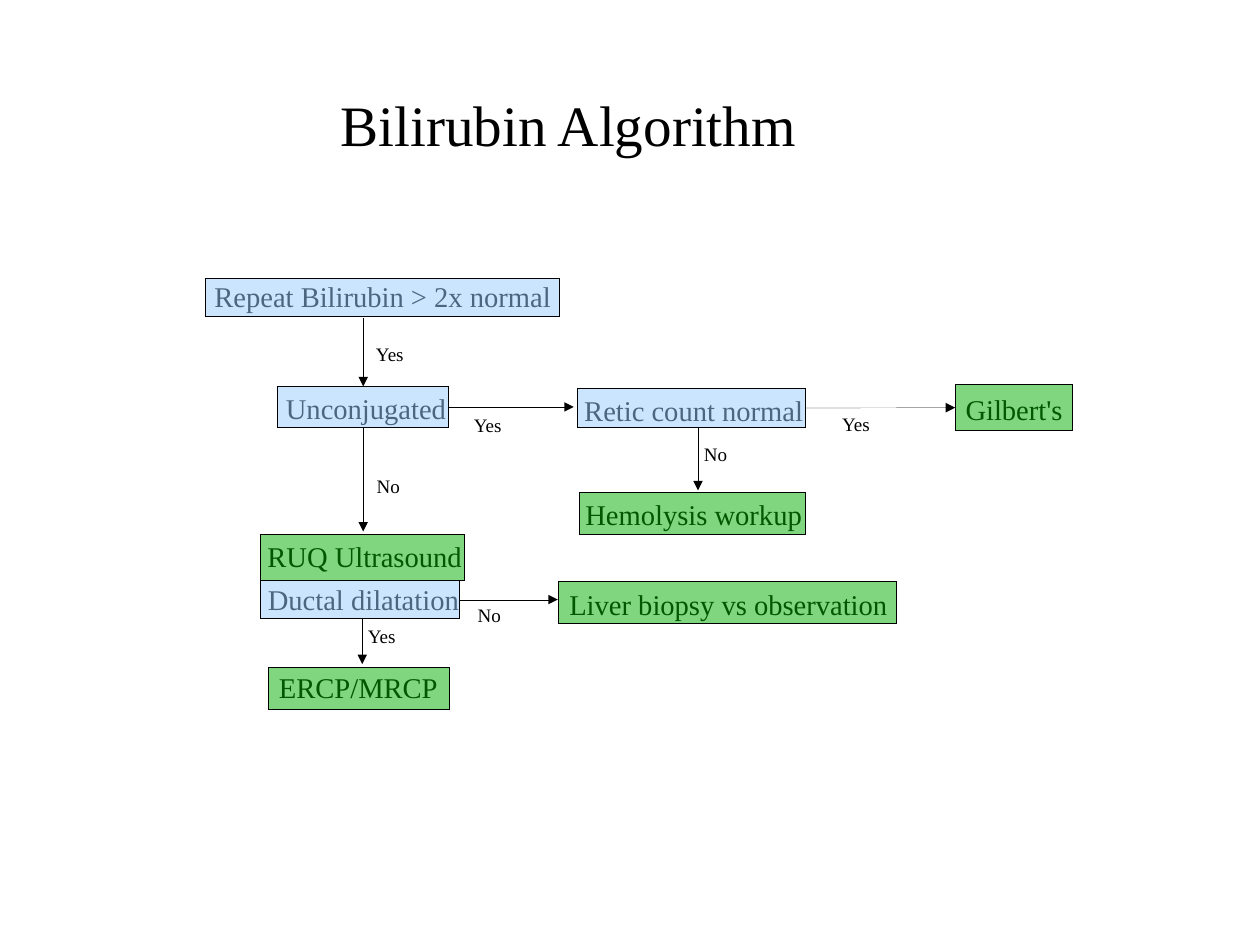
from dataclasses import dataclass
from typing import Optional

from lxml.etree import SubElement
from pptx import Presentation
from pptx.dml.color import RGBColor
from pptx.dml.line import LineFormat
from pptx.enum.shapes import MSO_CONNECTOR, MSO_SHAPE
from pptx.enum.text import MSO_ANCHOR, MSO_AUTO_SIZE, PP_ALIGN
from pptx.oxml.ns import qn
from pptx.shapes.autoshape import Shape
from pptx.slide import Slide
from pptx.text.text import TextFrame
from pptx.util import Pt

BLACK = RGBColor(0x00, 0x00, 0x00)
QUESTION_BLUE = RGBColor(0x99, 0xCC, 0xFF)
ACTION_GREEN = RGBColor(0x00, 0xAE, 0x00)
FONT = "Times New Roman"
STEP_SIZE, ANSWER_SIZE, TITLE_SIZE = 18, 12, 36
HAIRLINE = Pt(0.01)
SLACK = 1.5
TOP, LEFT, BOTTOM, RIGHT = range(4)


@dataclass(frozen=True)
class Step:
    wording: str
    color: RGBColor
    box: tuple[float, float, float, float]
    text_at: tuple[float, float, float]


@dataclass(frozen=True)
class Joint:
    step: str
    side: int


@dataclass(frozen=True)
class Arrow:
    start: tuple[float, float]
    end: tuple[float, float]
    start_joint: Optional[Joint] = None
    end_joint: Optional[Joint] = None


@dataclass(frozen=True)
class Answer:
    wording: str
    left: float
    top: float


STEPS = [
    Step("Repeat Bilirubin > 2x normal", QUESTION_BLUE, (129.4, 175.5, 223.2, 23.8), (134.6, 175.7, 213.1)),
    Step("Unconjugated", QUESTION_BLUE, (174.8, 243.4, 108, 25.9), (179.8, 246.5, 101.5)),
    Step("Retic count normal", QUESTION_BLUE, (363.6, 244.8, 144, 24.5), (367.9, 247.4, 138.2)),
    Step("Ductal dilatation", QUESTION_BLUE, (164.2, 365.8, 125.3, 23.8), (168.5, 366.5, 121)),
    Step("RUQ Ultrasound", ACTION_GREEN, (164.2, 336.8, 128.2, 28.8), (168.5, 339.8, 122.4)),
    Step("ERCP/MRCP", ACTION_GREEN, (169.2, 420.3, 113.8, 26.6), (175.7, 421.9, 100.1)),
    Step("Hemolysis workup", ACTION_GREEN, (364.8, 310.1, 142.6, 26.6), (368.6, 313.2, 136.8)),
    Step("Gilbert's", ACTION_GREEN, (601.7, 242.4, 74.2, 28.8), (608.2, 247, 61.2)),
    Step("Liver biopsy vs observation", ACTION_GREEN, (352.1, 366.5, 212.4, 26.6), (358.4, 369.9, 200.9)),
]

ARROWS = [
    Arrow((228.8, 200.2), (228.8, 243.4), end_joint=Joint("Unconjugated", TOP)),
    Arrow((228.8, 269.3), (228.8, 334.8), Joint("Unconjugated", BOTTOM)),
    Arrow((228.2, 389.6), (228.2, 418.3)),
    Arrow((282.8, 256.35), (361.4, 256.35), Joint("Unconjugated", RIGHT)),
    Arrow((507.6, 257), (601.7, 257), Joint("Retic count normal", RIGHT), Joint("Gilbert's", LEFT)),
    Arrow((439.7, 269.3), (439.7, 308.9)),
    Arrow((289.5, 377.7), (351.4, 377.7), Joint("Ductal dilatation", RIGHT)),
]

ANSWERS = [
    Answer("Yes", 236.2, 215.8),
    Answer("No", 237.4, 298.8),
    Answer("Yes", 297.9, 260.6),
    Answer("Yes", 529.9, 259.9),
    Answer("No", 443.5, 278.6),
    Answer("No", 301, 380.2),
    Answer("Yes", 231.1, 393.6),
]
ANSWER_WIDTHS = {"Yes": 18.7, "No": 14.4}


def write(frame: TextFrame, wording: str, size: float) -> None:
    frame.margin_left = frame.margin_top = frame.margin_right = frame.margin_bottom = Pt(0)
    frame.word_wrap = False
    frame.auto_size = MSO_AUTO_SIZE.SHAPE_TO_FIT_TEXT
    frame.vertical_anchor = MSO_ANCHOR.TOP
    paragraph = frame.paragraphs[0]
    paragraph.alignment = PP_ALIGN.CENTER
    run = paragraph.add_run()
    run.text = wording
    run.font.name = FONT
    run.font.size = Pt(size)
    run.font.color.rgb = BLACK


def draw_hairline(line: LineFormat) -> None:
    line.color.rgb = BLACK
    line.width = HAIRLINE


def add_title(slide: Slide, wording: str) -> None:
    title = slide.shapes.title
    title.left, title.top, title.width, title.height = Pt(213.4), Pt(56.2), Pt(289.4), Pt(43.9)
    write(title.text_frame, wording, TITLE_SIZE)


def add_step(slide: Slide, step: Step) -> Shape:
    group = slide.shapes.add_group_shape()
    left, top, width = step.text_at
    caption = group.shapes.add_textbox(Pt(left - SLACK), Pt(top), Pt(width + 2 * SLACK), Pt(21.6))
    write(caption.text_frame, step.wording, STEP_SIZE)
    box = group.shapes.add_shape(MSO_SHAPE.RECTANGLE, *(Pt(length) for length in step.box))
    box.shadow.inherit = False
    box.fill.solid()
    box.fill.fore_color.rgb = step.color
    tint = box._element.spPr.find(qn("a:solidFill"))[0]
    SubElement(tint, qn("a:alpha"), val="50000")
    draw_hairline(box.line)
    return box


def add_arrow(slide: Slide, arrow: Arrow, boxes: dict[str, Shape]) -> None:
    ends = (Pt(length) for length in arrow.start + arrow.end)
    connector = slide.shapes.add_connector(MSO_CONNECTOR.STRAIGHT, *ends)
    if arrow.start_joint:
        connector.begin_connect(boxes[arrow.start_joint.step], arrow.start_joint.side)
    if arrow.end_joint:
        connector.end_connect(boxes[arrow.end_joint.step], arrow.end_joint.side)
    draw_hairline(connector.line)
    properties = connector._element.spPr
    SubElement(properties.find(qn("a:ln")), qn("a:tailEnd"), type="triangle")
    SubElement(properties, qn("a:effectLst"))


def add_answer(slide: Slide, answer: Answer) -> None:
    width = ANSWER_WIDTHS[answer.wording] + 2 * SLACK
    label = slide.shapes.add_textbox(Pt(answer.left - SLACK), Pt(answer.top), Pt(width), Pt(14.4))
    write(label.text_frame, answer.wording, ANSWER_SIZE)


def main() -> None:
    presentation = Presentation()
    presentation.slide_width = Pt(793.7)
    presentation.slide_height = Pt(595.28)
    slide = presentation.slides.add_slide(presentation.slide_layouts[5])
    add_title(slide, "Bilirubin Algorithm")
    boxes = {step.wording: add_step(slide, step) for step in STEPS}
    for arrow in ARROWS:
        add_arrow(slide, arrow, boxes)
    for answer in ANSWERS:
        add_answer(slide, answer)
    presentation.save("out.pptx")


if __name__ == "__main__":
    main()
